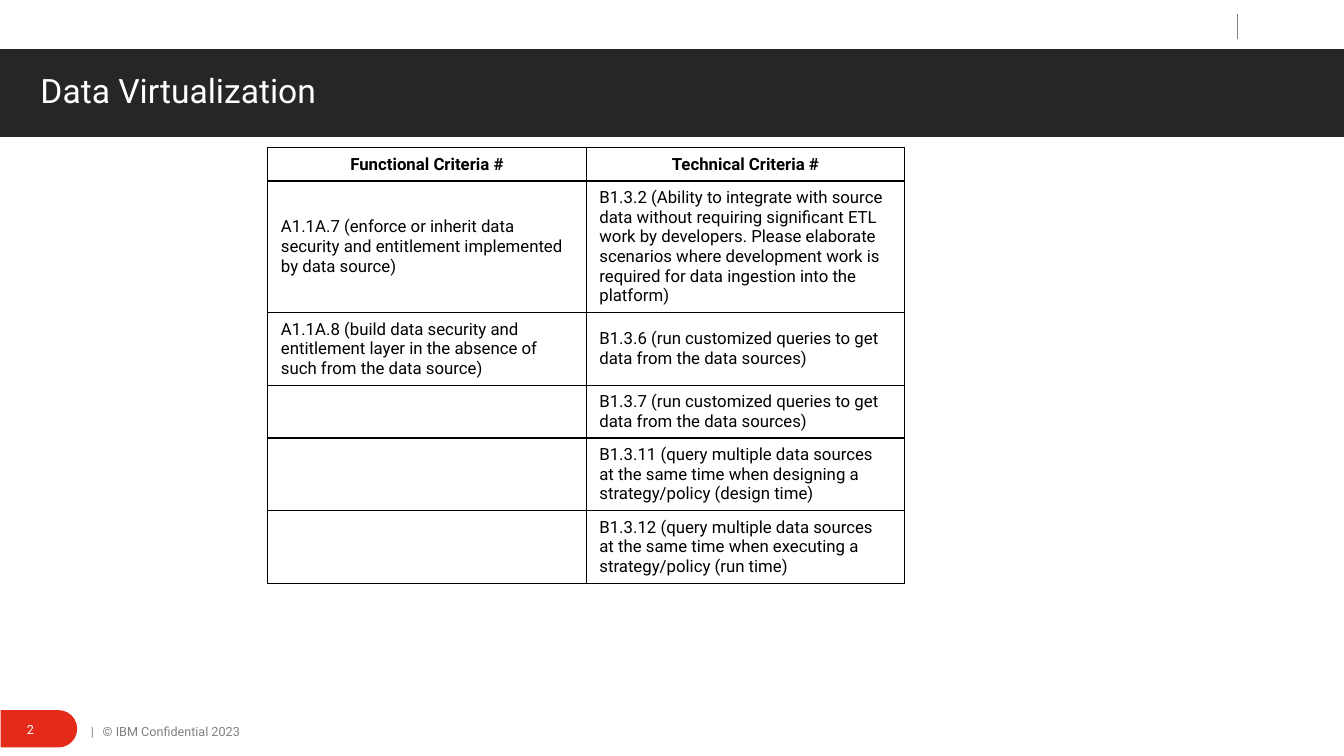
import pptx
import pptx.dml.color
import pptx.enum.shapes
import pptx.enum.text
import pptx.oxml
import pptx.oxml.ns
import pptx.util
from pptx.util import Cm

COLOURS = {
    "white": "FFFFFF",
    "black": "000000",
    "band": "262626",
    "red": "E42A18",
    "grey": "808080",
}

CRITERIA = [
    ("Functional Criteria #", "Technical Criteria #"),
    ("A1.1A.7 (enforce or inherit data security and entitlement implemented by data source)",
     "B1.3.2 (Ability to integrate with source data without requiring significant ETL work by "
     "developers. Please elaborate scenarios where development work is required for data "
     "ingestion into the platform)"),
    ("A1.1A.8 (build data security and entitlement layer in the absence of such from the data source)",
     "B1.3.6 (run customized queries to get data from the data sources)"),
    ("", "B1.3.7 (run customized queries to get data from the data sources)"),
    ("", "B1.3.11 (query multiple data sources at the same time when designing a "
         "strategy/policy (design time)"),
    ("", "B1.3.12 (query multiple data sources at the same time when executing a "
         "strategy/policy (run time)"),
]


class SlideBuilder:
    """Holds the style and the current slide, and adds each kind of element."""

    font = "Roboto"
    anchors = pptx.enum.text.MSO_ANCHOR
    aligns = pptx.enum.text.PP_ALIGN

    def __init__(self, page):
        self.page = page

    def colour(self, name):
        return pptx.dml.color.RGBColor.from_string(COLOURS[name])

    def add_span(self, para, text, size, colour, bold=False):
        span = para.add_run()
        span.text = text
        span.font.name = self.font
        span.font.size = pptx.util.Pt(size)
        span.font.bold = bold
        span.font.color.rgb = self.colour(colour)

    def shape(self, kind, left, top, width, height, fill):
        shape = self.page.shapes.add_shape(kind, Cm(left), Cm(top), Cm(width), Cm(height))
        shape.shadow.inherit = False
        shape.fill.solid()
        shape.fill.fore_color.rgb = self.colour(fill)
        shape.line.fill.background()
        return shape

    def text(self, left, top, width, height, text, colour, inset=0.25, tab=None):
        box = self.page.shapes.add_textbox(Cm(left), Cm(top), Cm(width), Cm(height))
        frame = box.text_frame
        frame.word_wrap = True
        frame.vertical_anchor = self.anchors.MIDDLE
        frame.margin_left = Cm(inset)
        para = frame.paragraphs[0]
        if tab:
            stops = pptx.oxml.parse_xml(
                f'<a:tabLst {pptx.oxml.ns.nsdecls("a")}><a:tab pos="{Cm(tab)}" algn="l"/></a:tabLst>')
            para._p.get_or_add_pPr().append(stops)
        self.add_span(para, text, 9, colour)

    def line(self, left, top, right, bottom, colour, width):
        line = self.page.shapes.add_connector(
            pptx.enum.shapes.MSO_CONNECTOR.STRAIGHT, Cm(left), Cm(top), Cm(right), Cm(bottom))
        line.line.color.rgb = self.colour(colour)
        line.line.width = pptx.util.Pt(width)
        line._element.spPr.append(
            pptx.oxml.parse_xml(f'<a:effectLst {pptx.oxml.ns.nsdecls("a")}/>'))

    def title(self, left, top, width, height, text):
        title = self.page.shapes.title
        title.left, title.top = Cm(left), Cm(top)
        title.width, title.height = Cm(width), Cm(height)
        title.element.getparent().append(title.element)
        frame = title.text_frame
        frame.word_wrap = True
        frame.auto_size = pptx.enum.text.MSO_AUTO_SIZE.NONE
        frame.vertical_anchor = self.anchors.TOP
        frame.margin_left = 0
        para = frame.paragraphs[0]
        para.alignment = self.aligns.LEFT
        para.line_spacing = 0.9
        self.add_span(para, text, 24, "white")

    def border(self, cell):
        properties = cell._tc.get_or_add_tcPr()
        for side in ("lnL", "lnR", "lnT", "lnB"):
            properties.append(pptx.oxml.parse_xml(
                f'<a:{side} {pptx.oxml.ns.nsdecls("a")} w="{pptx.util.Pt(1)}"><a:solidFill>'
                f'<a:srgbClr val="{COLOURS["black"]}"/></a:solidFill></a:{side}>'))

    def table(self, left, top, width, height, row_height, rows):
        holder = self.page.shapes.add_table(
            len(rows), len(rows[0]), Cm(left), Cm(top), Cm(width), Cm(height))
        table = holder.table
        table.first_row = table.horz_banding = False
        for row, texts in enumerate(rows):
            table.rows[row].height = Cm(row_height)
            header = row == 0
            for column, text in enumerate(texts):
                cell = table.cell(row, column)
                self.border(cell)
                cell.fill.background()
                cell.margin_left = cell.margin_right = Cm(0.33)
                cell.margin_top = cell.margin_bottom = Cm(0.17)
                cell.vertical_anchor = self.anchors.TOP if header else self.anchors.MIDDLE
                para = cell.text_frame.paragraphs[0]
                para.alignment = self.aligns.CENTER if header else self.aligns.LEFT
                if text:
                    self.add_span(para, text, 12, "black", bold=header)
        holder.height = Cm(height)


def main():
    deck = pptx.Presentation()
    deck.slide_width, deck.slide_height = Cm(33.87), Cm(19.05)
    builder = SlideBuilder(deck.slides.add_slide(deck.slide_layouts[5]))
    shapes = pptx.enum.shapes.MSO_SHAPE

    tab = builder.shape(shapes.ROUND_2_SAME_RECTANGLE, 0.51, 17.4, 0.94, 1.93, "red")
    tab.rotation = 90
    tab.adjustments[0], tab.adjustments[1] = 0.5, 0
    builder.text(0.43, 17.88, 1.5, 1.02, "2", "white")
    builder.text(2.29, 18.11, 5.05, 0.64, "|\t© IBM Confidential 2023", "grey", inset=0, tab=0.3)
    builder.line(31.19, 0.36, 31.19, 0.99, "grey", 0.5)
    builder.shape(shapes.RECTANGLE, 0, 1.24, 33.87, 2.21, "band")
    builder.title(1.02, 1.75, 32.85, 1.19, "Data Virtualization")
    builder.table(6.75, 3.72, 16.05, 11.18, 0.84, CRITERIA)
    deck.save("out.pptx")


if __name__ == "__main__":
    main()
